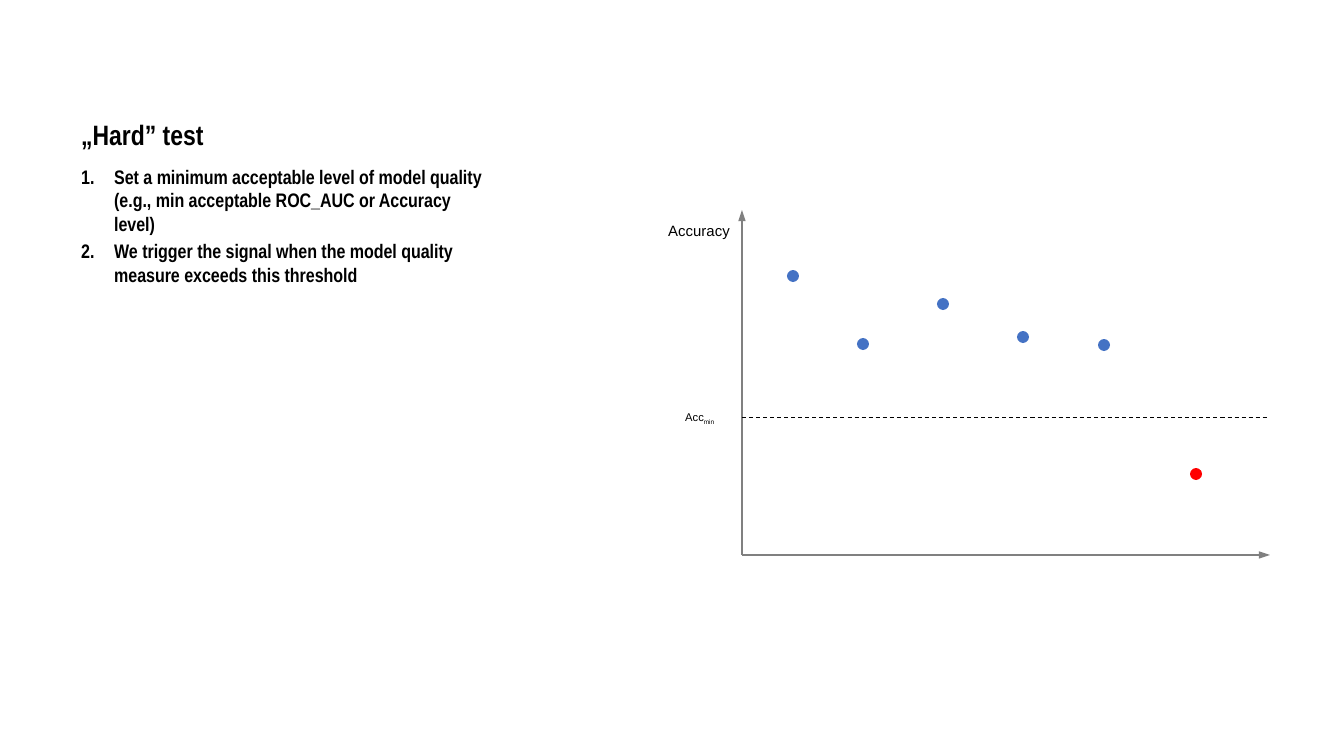
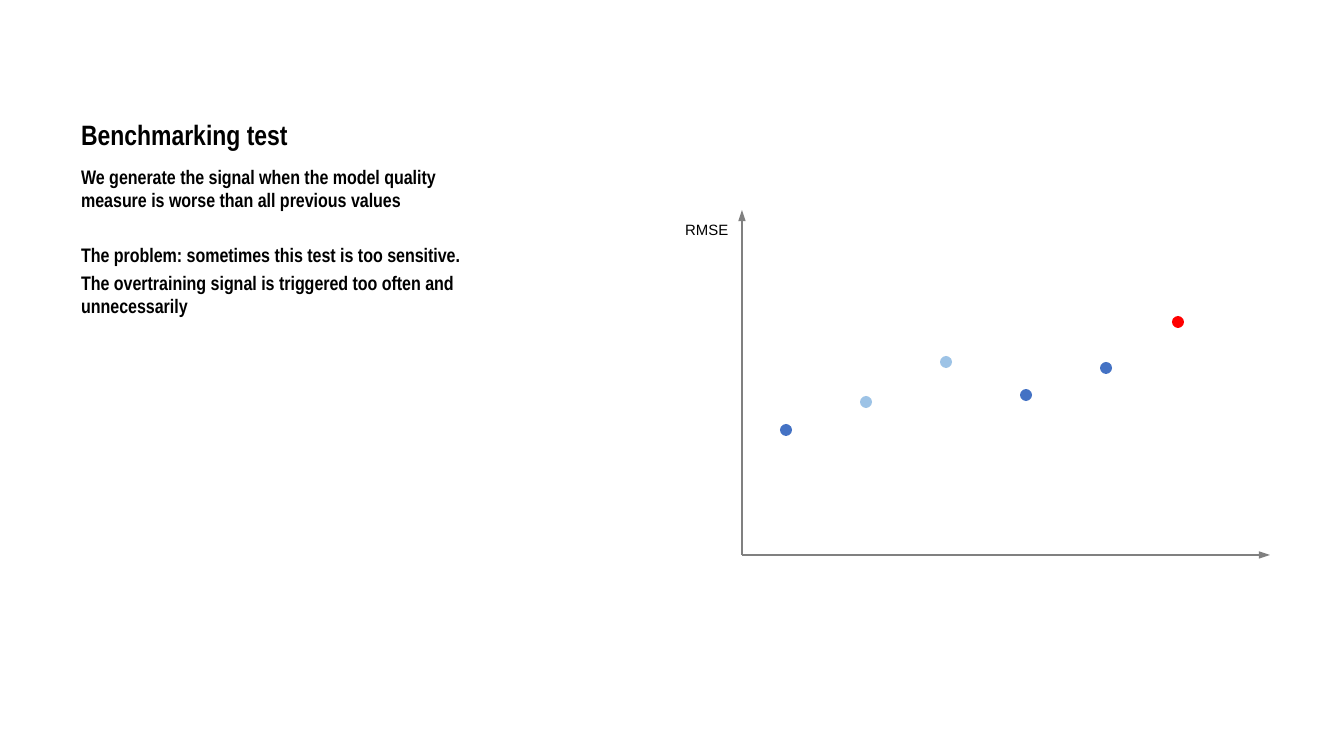
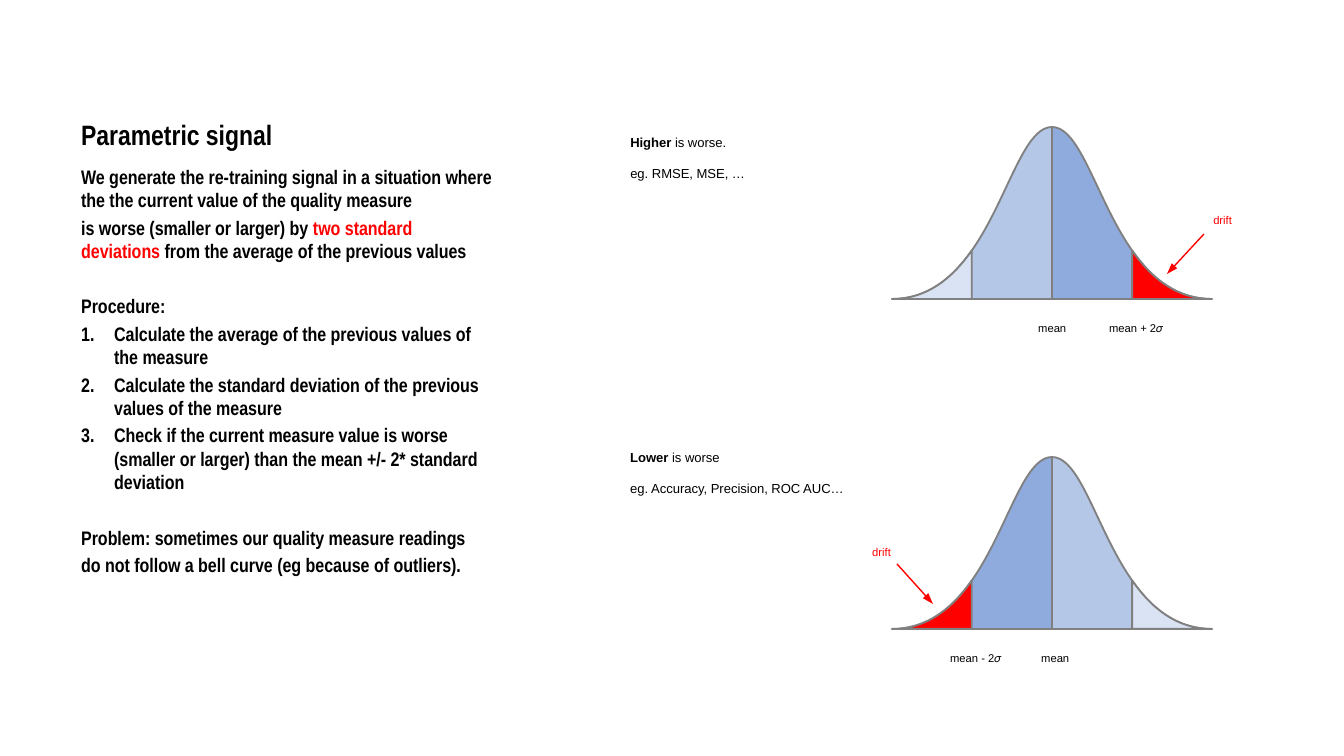
from lxml import etree
from pptx import Presentation
from pptx import util as u
from pptx.dml.color import RGBColor
from pptx.enum import dml, shapes, text
from pptx.oxml.ns import qn

EMU_PER_PX = 914400 / 134.4
SLIDE_SIZE = (1344, 756)
TITLE_BOX = (68, 30, 441, 128)
BODY_BOX = (68, 158, 441, 518)
STEP_INDENT = 33
LINE_GAP, BLOCK_GAP, NOTE_GAP = 2.1, 17, 8  # points before a paragraph

COLORS = {
    "black": "000000", "red": "FF0000", "gray": "808080",
    "blue": "4472C4", "sky": "9DC3E6",
    "calm": "B4C7E7", "calm tail": "DAE3F3", "drift": "8FAADC",
}

ORIGIN, AXIS_TOP, AXIS_RIGHT = (742, 555), (742, 210), (1270, 555)
DOT_SIZE = 12
THRESHOLD_Y, THRESHOLD_RIGHT = 418, 1267

# Body paragraphs are (kind, runs); a run is text or (text, changes).
SCATTER_SLIDES = [
    {
        "title": "„Hard” test",
        "body": [
            ("step", ["Set a minimum acceptable level of model quality (e.g., min "
                      "acceptable ROC_AUC or Accuracy level)"]),
            ("step", ["We trigger the signal when the model quality measure exceeds "
                      "this threshold"]),
        ],
        "axis label": ("Accuracy", (655, 215, 89, 32)),
        "dots": [(793, 276, "blue"), (863, 344, "blue"), (943, 304, "blue"),
                 (1023, 337, "blue"), (1104, 345, "blue"), (1196, 474, "red")],
        "threshold": (["Acc", ("min", {"baseline": -25000})], (672, 404, 58, 27)),
    },
    {
        "title": "Benchmarking test",
        "body": [
            ("line", ["We generate the signal when the model quality measure is worse "
                      "than all previous values"]),
            ("block", ["The problem: sometimes this test is too sensitive."]),
            ("line", ["The overtraining signal is triggered too often and "
                      "unnecessarily"]),
        ],
        "axis label": ("RMSE", (672, 214, 71, 32)),
        "dots": [(786, 430, "blue"), (866, 402, "sky"), (946, 362, "sky"),
                 (1026, 395, "blue"), (1106, 368, "blue"), (1178, 322, "red")],
    },
]

PARAMETRIC_TITLE = "Parametric signal"
PARAMETRIC_BODY = [
    ("line", ["We generate the re-training signal in a situation where the the current "
              "value of the quality measure"]),
    ("line", ["is worse (smaller or larger) by ",
              ("two standard deviations ", {"color": "red"}),
              "from the average of the previous values"]),
    ("block", ["Procedure:"]),
    ("step", ["Calculate the average of the previous values of the measure"]),
    ("step", ["Calculate the standard deviation of the previous values of the measure"]),
    ("step", ["Check if the current measure value is worse (smaller or larger) than the "
              "mean +/- 2* standard deviation"]),
    ("block", ["Problem: sometimes our quality measure readings"]),
    ("line", ["do not follow a bell curve (eg because of outliers)."]),
]

BELL_X, BELL_WIDTH, BELL_HEIGHT = 1052, 160, 172  # width of one half
BELL_CURVE = [(0, 0), (44, 0), (58, BELL_HEIGHT), (BELL_WIDTH, BELL_HEIGHT)]
TAIL_START = 0.65  # curve position where the tail begins
BELLS = [
    {
        "top": 127, "drift side": 1,
        "note": ("Higher", " is worse.", "eg. RMSE, MSE, …", (617, 128, 144, 60)),
        "labels": [("mean", (1025, 315, 55, 27), "black"),
                   ("mean + 2𝜎", (1096, 315, 82, 27), "black"),
                   ("drift", (1200, 207, 46, 27), "red")],
        "arrow": ((1204, 234), (1167, 274)),
    },
    {
        "top": 457, "drift side": -1,
        "note": ("Lower", " is worse", "eg. Accuracy, Precision, ROC AUC…",
                 (617, 443, 245, 60)),
        "labels": [("mean", (1028, 645, 55, 27), "black"),
                   ("mean - 2𝜎", (937, 645, 78, 27), "black"),
                   ("drift", (859, 539, 46, 27), "red")],
        "arrow": ((897, 564), (933, 604)),
    },
]


def px(*lengths):
    return [round(length * EMU_PER_PX) for length in lengths]


def rgb(name):
    return RGBColor.from_string(COLORS[name])


def add_text_box(slide, box, wrap, anchor=text.MSO_ANCHOR.TOP):
    frame = slide.shapes.add_textbox(*px(*box)).text_frame
    frame.word_wrap = wrap
    frame.vertical_anchor = anchor
    frame.auto_size = (text.MSO_AUTO_SIZE.NONE if wrap
                       else text.MSO_AUTO_SIZE.SHAPE_TO_FIT_TEXT)
    return frame


def write(paragraph, runs, size, font="Arial", color="black", bold=False):
    paragraph.font.name = font
    paragraph.font.size = u.Pt(size)
    paragraph.font.bold = bold
    paragraph.font.color.rgb = rgb(color)
    for item in runs:
        words, changes = (item, {}) if isinstance(item, str) else item
        run = paragraph.add_run()
        run.text = words
        if "color" in changes:
            run.font.color.rgb = rgb(changes["color"])
        if "bold" in changes:
            run.font.bold = changes["bold"]
        if "baseline" in changes:
            run.font._element.set("baseline", str(changes["baseline"]))


def number(paragraph):
    """Make the paragraph a step of a numbered list."""
    properties = paragraph._p.get_or_add_pPr()
    indent = px(STEP_INDENT)[0]
    properties.set("marL", str(indent))
    properties.set("indent", str(-indent))
    etree.SubElement(properties, qn("a:buFont"), typeface="+mj-lt")
    etree.SubElement(properties, qn("a:buAutoNum"), type="arabicPeriod")


def add_heading_and_body(slide, title, body):
    frame = add_text_box(slide, TITLE_BOX, True, text.MSO_ANCHOR.BOTTOM)
    write(frame.paragraphs[0], [title], 15, "Arial Narrow", bold=True)
    frame = add_text_box(slide, BODY_BOX, True)
    for index, (kind, runs) in enumerate(body):
        paragraph = frame.add_paragraph() if index else frame.paragraphs[0]
        if index:
            paragraph.space_before = u.Pt(BLOCK_GAP if kind == "block" else LINE_GAP)
        if kind == "step":
            number(paragraph)
        write(paragraph, runs, 10.5, "Arial Narrow", bold=True)


def add_label(slide, runs, box, size=6, color="black"):
    write(add_text_box(slide, box, False).paragraphs[0], runs, size, color=color)


def add_line(slide, start, end, color, width=0.75, dashed=False):
    """Draw a dashed line, or a solid one with a slim arrowhead at its end."""
    connector = slide.shapes.add_connector(shapes.MSO_CONNECTOR.STRAIGHT,
                                           *px(*start, *end))
    connector.line.color.rgb = rgb(color)
    connector.line.width = u.Pt(width)
    if dashed:
        connector.line.dash_style = dml.MSO_LINE.DASH
    else:
        etree.SubElement(connector.line._get_or_add_ln(), qn("a:tailEnd"),
                         type="triangle", w="sm", len="med")
    etree.SubElement(connector._element.spPr, qn("a:effectLst"))


def add_dot(slide, x, y, color):
    box = (x - DOT_SIZE / 2, y - DOT_SIZE / 2, DOT_SIZE, DOT_SIZE)
    dot = slide.shapes.add_shape(shapes.MSO_SHAPE.OVAL, *px(*box))
    dot.shadow.inherit = False
    dot.fill.solid()
    dot.fill.fore_color.rgb = rgb(color)
    dot.line.fill.background()


def build_scatter_slide(slide, content):
    add_heading_and_body(slide, content["title"], content["body"])
    for end in (AXIS_TOP, AXIS_RIGHT):
        add_line(slide, ORIGIN, end, "gray")
    label, box = content["axis label"]
    add_label(slide, [label], box, 8)
    for dot in content["dots"]:
        add_dot(slide, *dot)
    if "threshold" in content:
        add_line(slide, (ORIGIN[0], THRESHOLD_Y), (THRESHOLD_RIGHT, THRESHOLD_Y),
                 "black", 0.55, dashed=True)
        add_label(slide, *content["threshold"])


def curve_from(start):
    """Control points of the bell curve from position start to its outer end."""
    points, controls = BELL_CURVE, []
    while points:
        controls.insert(0, points[-1])
        points = [tuple(a + (b - a) * start for a, b in zip(first, second))
                  for first, second in zip(points, points[1:])]
    return controls


def bend_first_segments(shape):
    """Join the first three straight segments into one cubic curve."""
    segments = list(shape._element.iter(qn("a:lnTo")))[:3]
    curve = etree.Element(qn("a:cubicBezTo"))
    segments[0].addprevious(curve)
    for segment in segments:
        curve.append(segment[0])
        segment.getparent().remove(segment)


def add_bell_part(slide, top, side, start, color):
    """Fill the area under one side of the bell, from curve position start outwards."""
    controls = curve_from(start)
    outline = controls + [(controls[0][0], BELL_HEIGHT)]
    points = [px(BELL_X + side * x, top + y) for x, y in outline]
    builder = slide.shapes.build_freeform(*points[0])
    builder.add_line_segments(points[1:], close=True)
    part = builder.convert_to_shape()
    bend_first_segments(part)
    part.shadow.inherit = False
    part.fill.solid()
    part.fill.fore_color.rgb = rgb(color)
    part.line.color.rgb = rgb("gray")
    part.line.width = u.Pt(1)


def add_bell(slide, bell):
    side = bell["drift side"]
    for part_side, start, color in ((-side, 0, "calm"), (-side, TAIL_START, "calm tail"),
                                    (side, 0, "drift"), (side, TAIL_START, "red")):
        add_bell_part(slide, bell["top"], part_side, start, color)
    for label, box, color in bell["labels"]:
        add_label(slide, [label], box, color=color)
    add_line(slide, *bell["arrow"], "red")
    direction, rest, examples, box = bell["note"]
    frame = add_text_box(slide, box, False)
    write(frame.paragraphs[0], [(direction, {"bold": True}), rest], 7)
    paragraph = frame.add_paragraph()
    paragraph.space_before = u.Pt(NOTE_GAP)
    write(paragraph, [examples], 7)


def main():
    presentation = Presentation()
    presentation.slide_width, presentation.slide_height = px(*SLIDE_SIZE)
    blank = presentation.slide_layouts[6]
    for content in SCATTER_SLIDES:
        build_scatter_slide(presentation.slides.add_slide(blank), content)
    slide = presentation.slides.add_slide(blank)
    add_heading_and_body(slide, PARAMETRIC_TITLE, PARAMETRIC_BODY)
    for bell in BELLS:
        add_bell(slide, bell)
    presentation.save("out.pptx")


if __name__ == "__main__":
    main()
